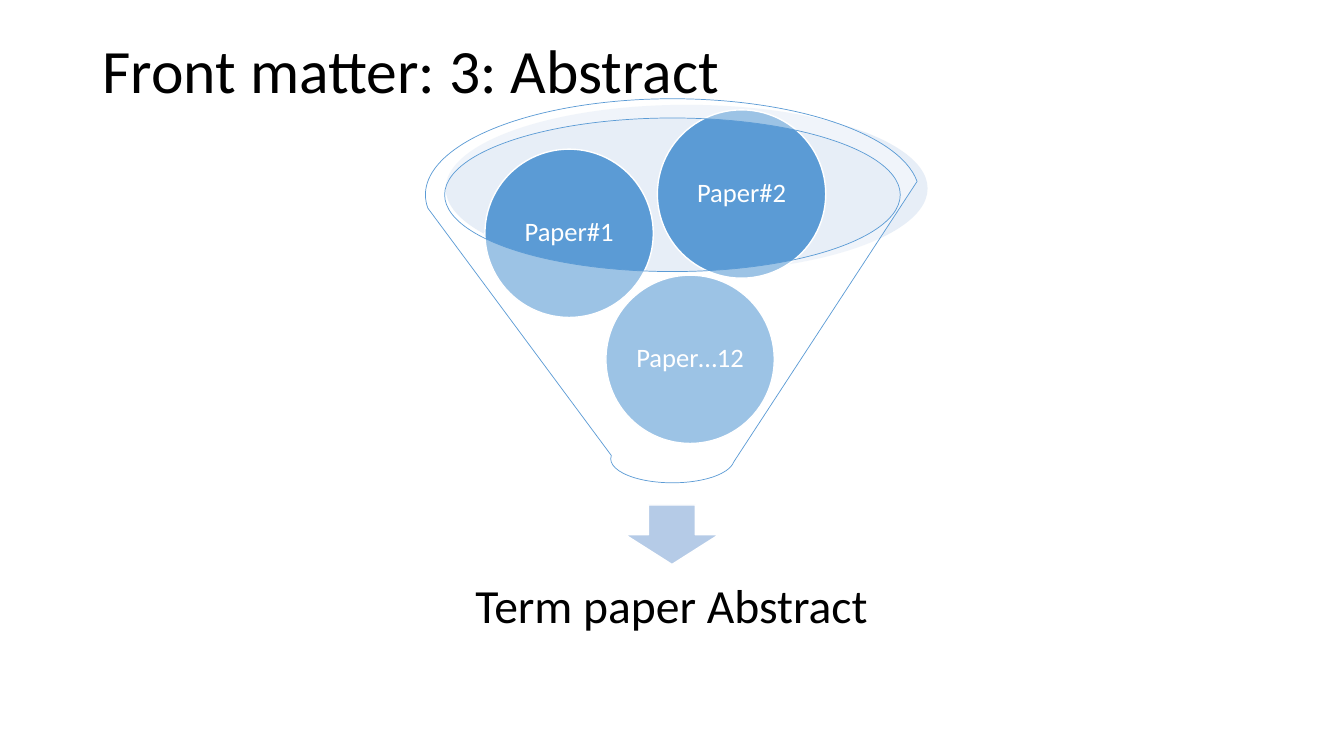
import pptx
import pptx.util
import pptx.dml.color
import pptx.enum.shapes
import pptx.enum.text
import pptx.oxml

Inches, Pt = pptx.util.Inches, pptx.util.Pt
RGBColor = pptx.dml.color.RGBColor
Shape = pptx.enum.shapes.MSO_SHAPE
Align = pptx.enum.text.PP_ALIGN

# Content
TITLE = "Front matter: 3: Abstract"
RESULT = "Term paper Abstract"
PAPERS = [("Paper…12", 6.01, 2.73), ("Paper#1", 4.81, 1.48), ("Paper#2", 6.52, 1.09)]
BALL_SIZE = 1.67

BLACK = RGBColor(0x00, 0x00, 0x00)
WHITE = RGBColor(0xFF, 0xFF, 0xFF)
BLUE = RGBColor(0x5B, 0x9B, 0xD5)
ARROW_BLUE = RGBColor(0xB5, 0xCB, 0xE7)
RIM_BLUE = RGBColor(0xC4, 0xD5, 0xEB)

deck = pptx.Presentation()
deck.slide_width, deck.slide_height = Inches(13.33), Inches(7.5)
page = deck.slides.add_slide(deck.slide_layouts[6])


def add_text(box, text, size, color=BLACK, align=Align.CENTER, inset=(0.1, 0.05)):
    frame = box.text_frame
    frame.word_wrap = True
    frame.vertical_anchor = pptx.enum.text.MSO_ANCHOR.MIDDLE
    frame.margin_left = frame.margin_right = Inches(inset[0])
    frame.margin_top = frame.margin_bottom = Inches(inset[1])
    para = frame.paragraphs[0]
    para.alignment = align
    para.line_spacing = 0.9
    span = para.add_run()
    span.text = text
    span.font.name = "Calibri"
    span.font.size = Pt(size)
    span.font.color.rgb = color


def add_figure(kind, place, fill, line=None, width=1, opacity=100):
    figure = page.shapes.add_shape(kind, *map(Inches, place))
    figure.shadow.inherit = False
    figure.fill.solid()
    figure.fill.fore_color.rgb = fill
    if opacity < 100:
        color = figure.fill._xPr.find(".//" + pptx.oxml.ns.qn("a:srgbClr"))
        alpha = color.makeelement(pptx.oxml.ns.qn("a:alpha"), {"val": str(opacity * 1000)})
        color.append(alpha)
    if line is None:
        figure.line.fill.background()
    else:
        figure.line.color.rgb = line
        figure.line.width = Pt(width)
    return figure


def add_label(place, text, size, **style):
    add_text(page.shapes.add_textbox(*map(Inches, place)), text, size, **style)


# Title
add_label((0.92, 0, 11.5, 1.45), TITLE, 44, align=Align.LEFT)

# Funnel rim, arrow and result
add_figure(Shape.OVAL, (4.42, 1.04, 4.78, 1.66), RIM_BLUE, opacity=40)
add_figure(Shape.DOWN_ARROW, (6.2, 5.01, 0.93, 0.59), ARROW_BLUE, WHITE)
add_label((4.44, 5.48, 4.44, 1.11), RESULT, 34, inset=(0.26, 0.26))

# Papers falling into the funnel
for name, left, top in PAPERS:
    ball = add_figure(Shape.OVAL, (left, top, BALL_SIZE, BALL_SIZE), BLUE, WHITE)
    add_text(ball, name, 19, color=WHITE, inset=(0.03, 0.03))

# Translucent funnel in front
add_figure(Shape.FUNNEL, (4.22, 0.98, 4.9, 3.81), WHITE, BLUE, width=0.5, opacity=40)

deck.save("out.pptx")
